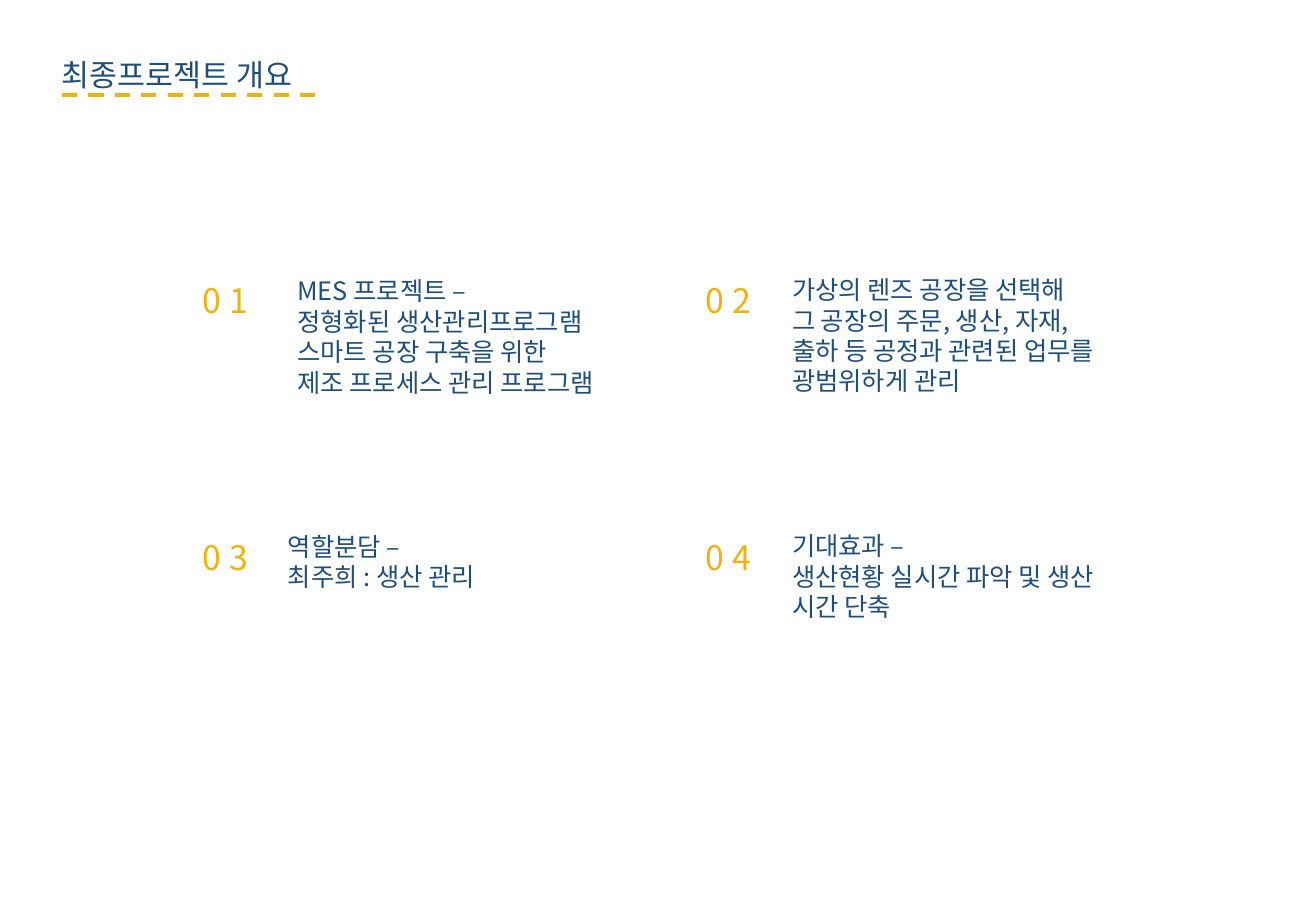
from lxml import etree
from pptx import Presentation
from pptx.dml.color import RGBColor
from pptx.enum.dml import MSO_LINE
from pptx.enum.shapes import MSO_CONNECTOR
from pptx.enum.text import MSO_ANCHOR, PP_ALIGN
from pptx.oxml.ns import qn
from pptx.util import Inches, Pt

NAVY = RGBColor(0x1F, 0x4E, 0x79)
GOLD = RGBColor(0xEC, 0xB3, 0x12)
FONT = "Noto Sans CJK KR"
DASH = MSO_LINE.DASH
STRAIGHT = MSO_CONNECTOR.STRAIGHT
TOP = MSO_ANCHOR.TOP
LEFT = PP_ALIGN.LEFT

NUMBER_LEFTS = (1.57, 5.71)
NUMBER_TOPS = (2.07, 4.18)

ITEMS = [
    ("0 1", (2.35, 2.22, 3.16, 1.11),
     "MES 프로젝트 –\n정형화된 생산관리프로그램\n스마트 공장 구축을 위한\n제조 프로세스 관리 프로그램"),
    ("0 2", (6.42, 2.21, 2.85, 1.11),
     "가상의 렌즈 공장을 선택해\n그 공장의 주문, 생산, 자재, 출하 등 공정과 관련된 업무를 광범위하게 관리"),
    ("0 3", (2.27, 4.32, 2.85, 0.61),
     "역할분담 –\n최주희 : 생산 관리"),
    ("0 4", (6.42, 4.32, 2.85, 0.86),
     "기대효과 –\n생산현황 실시간 파악 및 생산 시간 단축"),
]


def write_text(sp, text, size, color, line_height):
    tf = sp.text_frame
    tf.word_wrap = True
    tf.vertical_anchor = TOP
    tf.text = text
    for p in tf.paragraphs:
        p.alignment = LEFT
        p.line_spacing = Pt(line_height)
        for r in p.runs:
            r.font.size = Pt(size)
            r.font.color.rgb = color
            r.font.name = FONT
            ea = etree.SubElement(r.font._element, qn("a:ea"))
            ea.set("typeface", FONT)


def add_text(s, box, text, size, color, line_height):
    sp = s.shapes.add_textbox(*map(Inches, box))
    write_text(sp, text, size, color, line_height)


def add_title(s, text):
    sp = s.shapes.title
    sp.left, sp.top = Inches(0.41), Inches(0.25)
    sp.width, sp.height = Inches(3.37), Inches(0.5)
    write_text(sp, text, 18, NAVY, 33.4)


def add_underline(s, left, right, y):
    line = s.shapes.add_connector(
        STRAIGHT, Inches(left), Inches(y), Inches(right), Inches(y))
    line.line.color.rgb = GOLD
    line.line.width = Pt(2.25)
    line.line.dash_style = DASH
    etree.SubElement(line._element.spPr, qn("a:effectLst"))


def add_item(s, index, number, box, text):
    row, col = divmod(index, 2)
    number_box = (NUMBER_LEFTS[col], NUMBER_TOPS[row], 1.68, 0.55)
    add_text(s, number_box, number, 20, GOLD, 37.4)
    add_text(s, box, text, 15, NAVY, 18)


def main():
    prs = Presentation()
    prs.slide_width = Inches(10.83)
    prs.slide_height = Inches(7.5)
    s = prs.slides.add_slide(prs.slide_layouts[5])
    add_title(s, "최종프로젝트 개요")
    for index, (number, box, text) in enumerate(ITEMS):
        add_item(s, index, number, box, text)
    add_underline(s, 0.51, 2.62, 0.78)
    prs.save("out.pptx")


if __name__ == "__main__":
    main()
